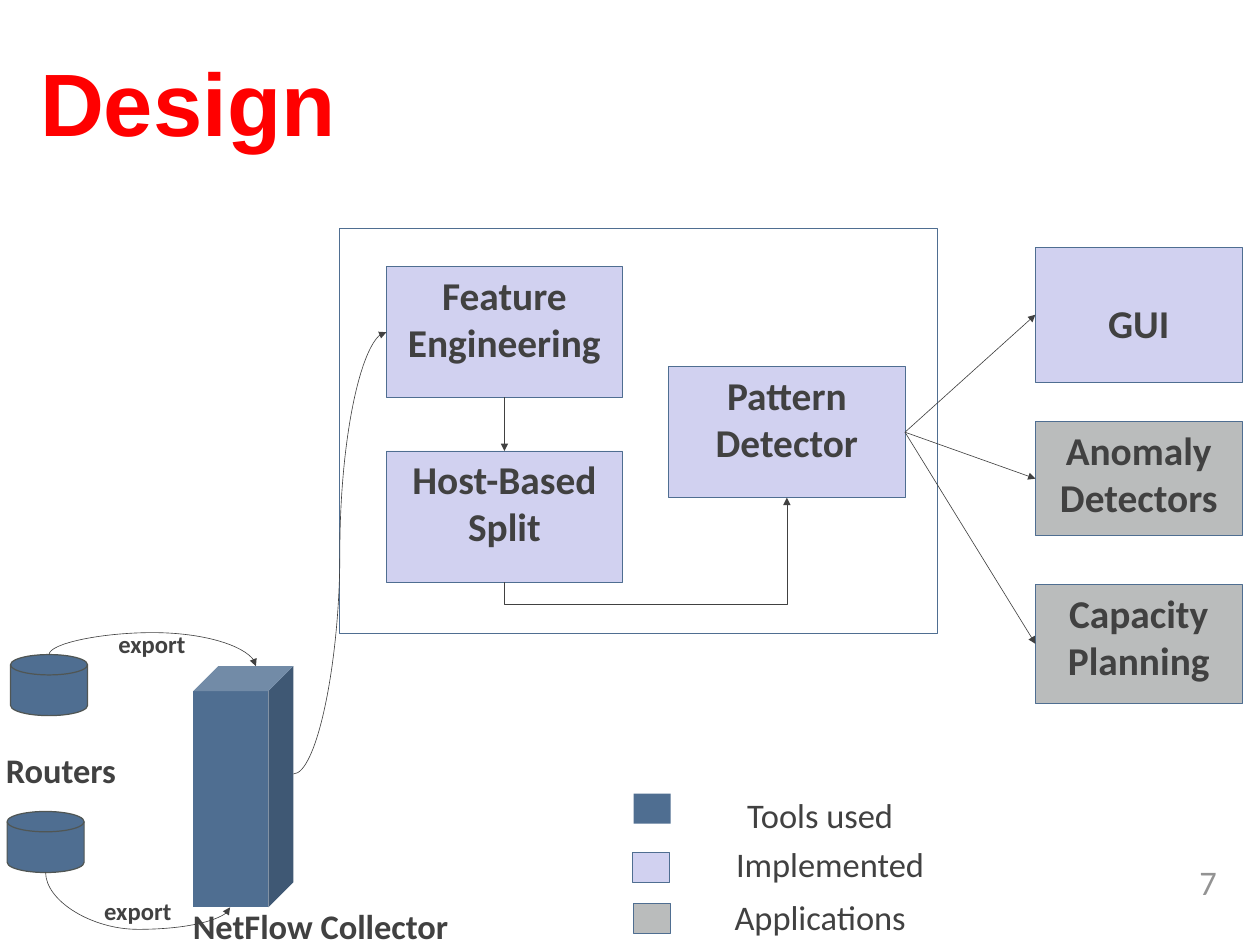
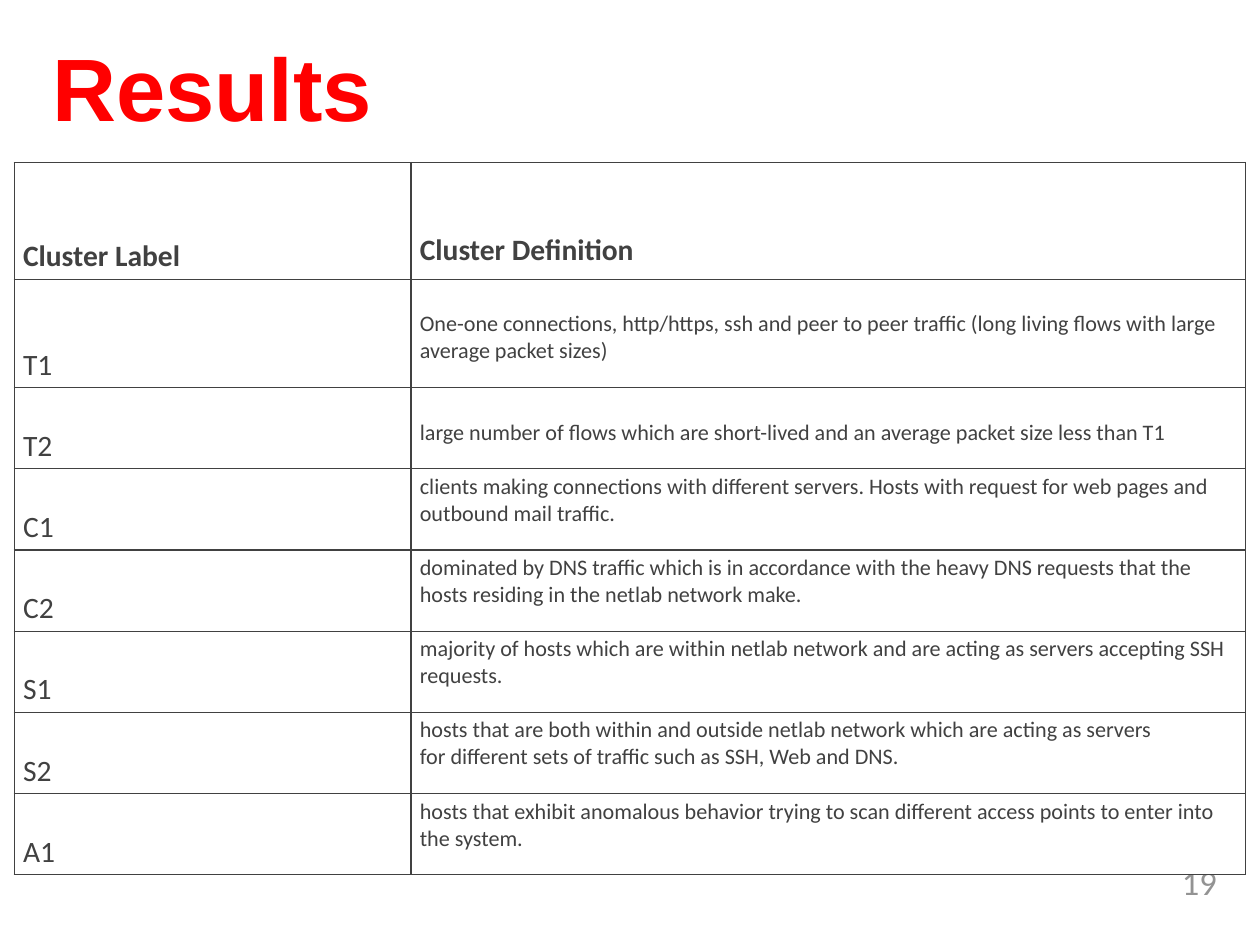
from lxml import etree
from pptx import Presentation
from pptx.dml.color import RGBColor
from pptx.enum.shapes import MSO_CONNECTOR, MSO_SHAPE
from pptx.enum.text import MSO_ANCHOR, PP_ALIGN
from pptx.oxml.ns import qn
from pptx.util import Pt

LEFT, MID, RIGHT = PP_ALIGN.LEFT, PP_ALIGN.CENTER, PP_ALIGN.RIGHT
TOP, CENTER, BOTTOM = MSO_ANCHOR.TOP, MSO_ANCHOR.MIDDLE, MSO_ANCHOR.BOTTOM
LINE, BENT, CURVE = MSO_CONNECTOR.STRAIGHT, MSO_CONNECTOR.ELBOW, MSO_CONNECTOR.CURVE
RECT, DISK, CUBE = MSO_SHAPE.RECTANGLE, MSO_SHAPE.FLOWCHART_MAGNETIC_DISK, MSO_SHAPE.CUBE

HEX = {"title": "FF0000", "text": "414141", "number": "939393", "tool": "4F6E91",
       "done": "D1D1F0", "app": "BABCBC", "edge": "505654", "white": "FFFFFF"}
RGB = {name: RGBColor.from_string(code) for name, code in HEX.items()}


def write(frame, text, size, bold=False, align=MID, color="text", face="Calibri", anchor=TOP):
    frame.text = text
    frame.word_wrap = True
    frame.vertical_anchor = anchor
    for para in frame.paragraphs:
        para.alignment = align
        for run in para.runs:
            run.font.name, run.font.size, run.font.bold = face, Pt(size), bold
            run.font.color.rgb = RGB[color]


def link(kind, x1, y1, x2, y2, turn=0, flip=(), bend=None):
    """Draw an arrow; a quarter turn makes it leave its start vertically."""
    if turn:
        x, y, w, h = (x1 + x2) / 2, (y1 + y2) / 2, abs(y2 - y1), abs(x2 - x1)
        x1, y1, x2, y2 = x - w / 2, y - h / 2, x + w / 2, y + h / 2
    wire = design.shapes.add_connector(kind, Pt(x1), Pt(y1), Pt(x2), Pt(y2))
    wire.line.color.rgb = RGB["text"]
    wire.line.width = Pt(0.5)
    props = wire.element.spPr
    etree.SubElement(props.find(qn("a:ln")), qn("a:tailEnd"), type="triangle")
    etree.SubElement(props, qn("a:effectLst"))
    if turn:
        form = props.find(qn("a:xfrm"))
        form.set("rot", str(turn * 60000))
        for side in flip:
            form.set(side, "1")
        geom = props.find(qn("a:prstGeom"))
        guides = geom.find(qn("a:avLst"))
        if guides is None:
            guides = etree.SubElement(geom, qn("a:avLst"))
        etree.SubElement(guides, qn("a:gd"), name="adj1", fmla=f"val {round(bend * 100000)}")
    return wire


deck = Presentation()
deck.slide_width, deck.slide_height = Pt(1024), Pt(768)

# Titles and slide numbers
slides = []
for title, number, x, y in [("Design", "7", 28, 30), ("Results", "19", 38, 18)]:
    slide = deck.slides.add_slide(deck.slide_layouts[6])
    frame = slide.shapes.add_textbox(Pt(x), Pt(y), Pt(968), Pt(99.5)).text_frame
    frame.margin_left = frame.margin_right = frame.margin_top = frame.margin_bottom = Pt(4.5)
    write(frame, title, 72, True, LEFT, "title", "Arial", BOTTOM)
    frame = slide.shapes.add_textbox(Pt(765.5), Pt(696), Pt(230.5), Pt(41)).text_frame
    write(frame, number, 28, False, RIGHT, "number", anchor=CENTER)
    slides.append(slide)
design, results = slides

# Routers, collector, frame, stages, applications and legend swatches
parts = [
    (DISK, 8.6, 532, 62.6, 49.6, "tool", "edge", 1, ""),
    (DISK, 5.8, 659.5, 62.6, 49.6, "tool", "edge", 1, ""),
    (CUBE, 157, 541.4, 81.4, 196, "tool", None, 0, ""),
    (RECT, 276, 186, 486, 329, None, "tool", 0.75, ""),
    (RECT, 314, 216.5, 192, 106.5, "done", "tool", 0.75, "Feature Engineering"),
    (RECT, 314, 366.5, 192, 106.5, "done", "tool", 0.75, "Host-Based Split"),
    (RECT, 543.5, 298, 192, 106.5, "done", "tool", 0.75, "Pattern Detector"),
    (RECT, 841.5, 201, 168, 109.5, "done", "tool", 0.75, "GUI"),
    (RECT, 841.5, 342.5, 168, 93, "app", "tool", 0.75, "Anomaly Detectors"),
    (RECT, 841.5, 475, 168, 96.5, "app", "tool", 0.75, "Capacity\nPlanning"),
    (RECT, 515, 645, 30, 24.5, "tool", None, 0, ""),
    (RECT, 514, 692.5, 30, 24.5, "done", "tool", 0.75, ""),
    (RECT, 515, 734, 30, 24.5, "app", "tool", 0.75, ""),
]
named = {}
for kind, x, y, w, h, fill, edge, width, text in parts:
    shape = design.shapes.add_shape(kind, Pt(x), Pt(y), Pt(w), Pt(h))
    shape.shadow.inherit = False
    if fill:
        shape.fill.solid()
        shape.fill.fore_color.rgb = RGB[fill]
    else:
        shape.fill.background()
    if edge:
        shape.line.color.rgb = RGB[edge]
        shape.line.width = Pt(width)
    else:
        shape.line.fill.background()
    if text:
        write(shape.text_frame, text, 32, True)
        named[text.split()[0]] = shape
named["GUI"].text_frame.margin_top = Pt(42.5)

# Labels
for text, x, y, w, h, size, bold in [
    ("Routers", -103, 605.5, 305, 41, 28, True),
    ("NetFlow Collector", 108, 732, 305, 41, 28, True),
    ("export", -40.5, 724.5, 305, 31.5, 20, True),
    ("export", -29, 507.5, 305, 31.5, 20, True),
    ("Tools used", 582.5, 641.5, 168, 41, 28, False),
    ("Implemented", 590.5, 682, 168, 41, 28, False),
    ("Applications", 582.5, 724.5, 168, 41, 28, False),
]:
    box = design.shapes.add_textbox(Pt(x), Pt(y), Pt(w), Pt(h))
    write(box.text_frame, text, size, bold)

# Straight arrows, joined to their boxes
for start, out, end, into in [("Feature", 2, "Host-Based", 0), ("Pattern", 3, "GUI", 1),
                              ("Pattern", 3, "Anomaly", 1), ("Pattern", 3, "Capacity", 1)]:
    wire = link(LINE, 0, 0, 0, 0)
    wire.begin_connect(named[start], out)
    wire.end_connect(named[end], into)

# Curved and bent arrows
link(CURVE, 238.4, 629, 314, 270)
link(BENT, 410, 473, 639.5, 404.5, 90, ("flipH", "flipV"), -0.26)
link(CURVE, 39.9, 532, 208, 541.4, 270, ("flipH",), -1.9)
link(CURVE, 37.1, 709, 187, 737.4, 270, ("flipH",), 1.63)

# Cluster table
rows = [
    ("Cluster Label", "Cluster Definition"),
    ("T1", "One-one connections, http/https, ssh and peer to peer traffic "
           "(long living flows with large average packet sizes)"),
    ("T2", "large number of flows which are short-lived and an average packet size less than T1"),
    ("C1", "clients making connections with different servers. Hosts with request "
           "for web pages and outbound mail traffic."),
    ("C2", "dominated by DNS traffic which is in accordance with the heavy DNS requests "
           "that the hosts residing in the netlab network make."),
    ("S1", "majority of hosts which are within netlab network and are acting as servers "
           "accepting SSH requests."),
    ("S2", "hosts that are both within and outside netlab network which are acting as servers\n"
           "for different sets of traffic such as SSH, Web and DNS."),
    ("A1", "hosts that exhibit anomalous behavior trying to scan different access points "
           "to enter into the system."),
]
highs = [95, 88] + [66] * 6
table = results.shapes.add_table(len(rows), 2, Pt(11.5), Pt(132), Pt(1000.5), Pt(sum(highs))).table
table.first_row = table.horz_banding = False
table.columns[0].width, table.columns[1].width = Pt(322.5), Pt(678)
for r, row in enumerate(rows):
    table.rows[r].height = Pt(highs[r])
    for c, text in enumerate(row):
        cell = table.cell(r, c)
        head = r == 0
        write(cell.text_frame, text, 24 if head or c == 0 else 18, head, LEFT)
        cell.vertical_anchor = BOTTOM if head or c == 0 else TOP
        if c == 1 and head:
            cell.margin_bottom = Pt(8.5)
        elif c == 1 and r < 3:
            cell.margin_top = Pt(25.5)
        props = cell._tc.get_or_add_tcPr()
        for side in ("a:lnL", "a:lnR", "a:lnT", "a:lnB"):
            edge = etree.SubElement(props, qn(side), w=str(Pt(1)))
            paint = etree.SubElement(edge, qn("a:solidFill"))
            etree.SubElement(paint, qn("a:srgbClr"), val=HEX["text"])
        cell.fill.solid()
        cell.fill.fore_color.rgb = RGB["white"]

deck.save("out.pptx")
